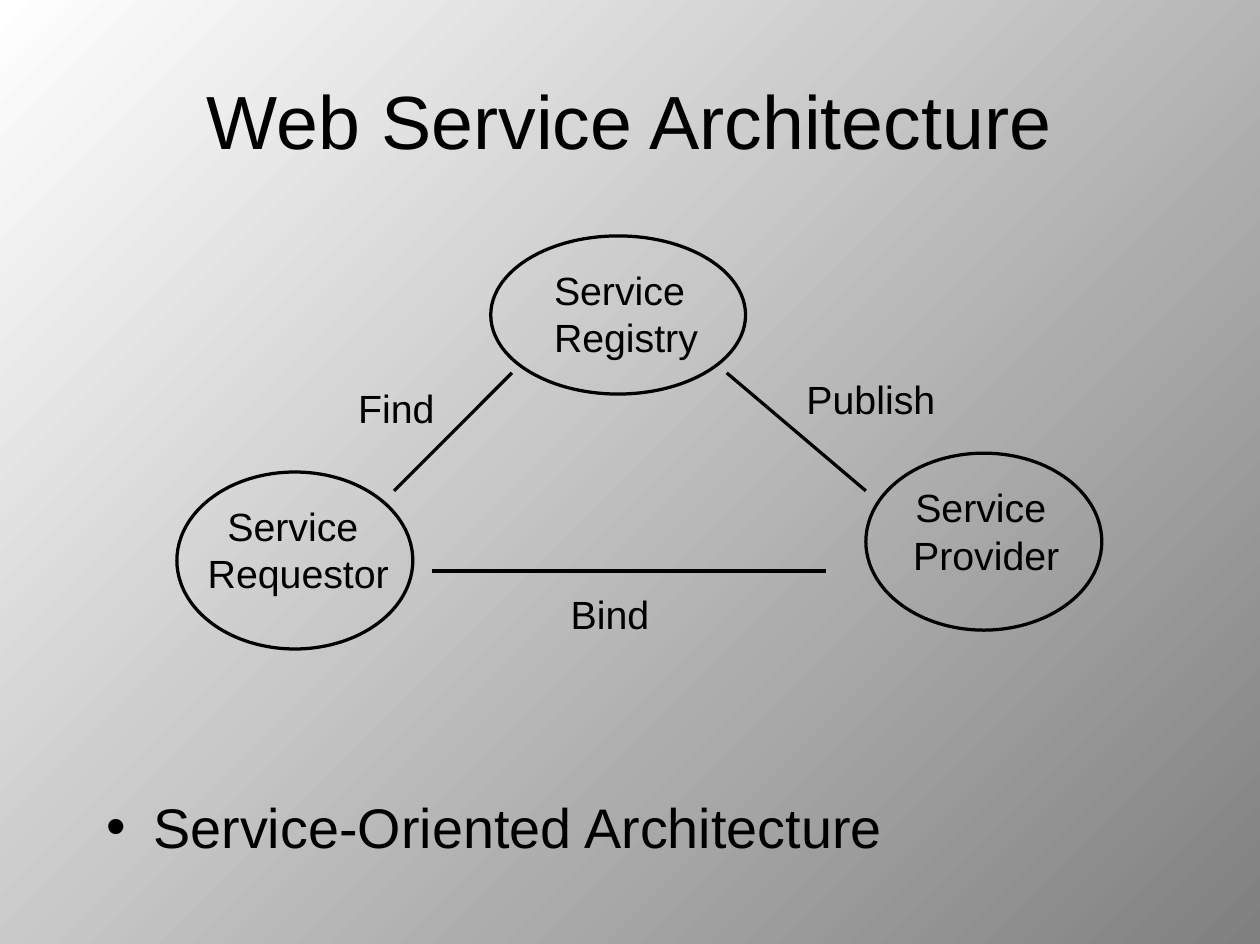
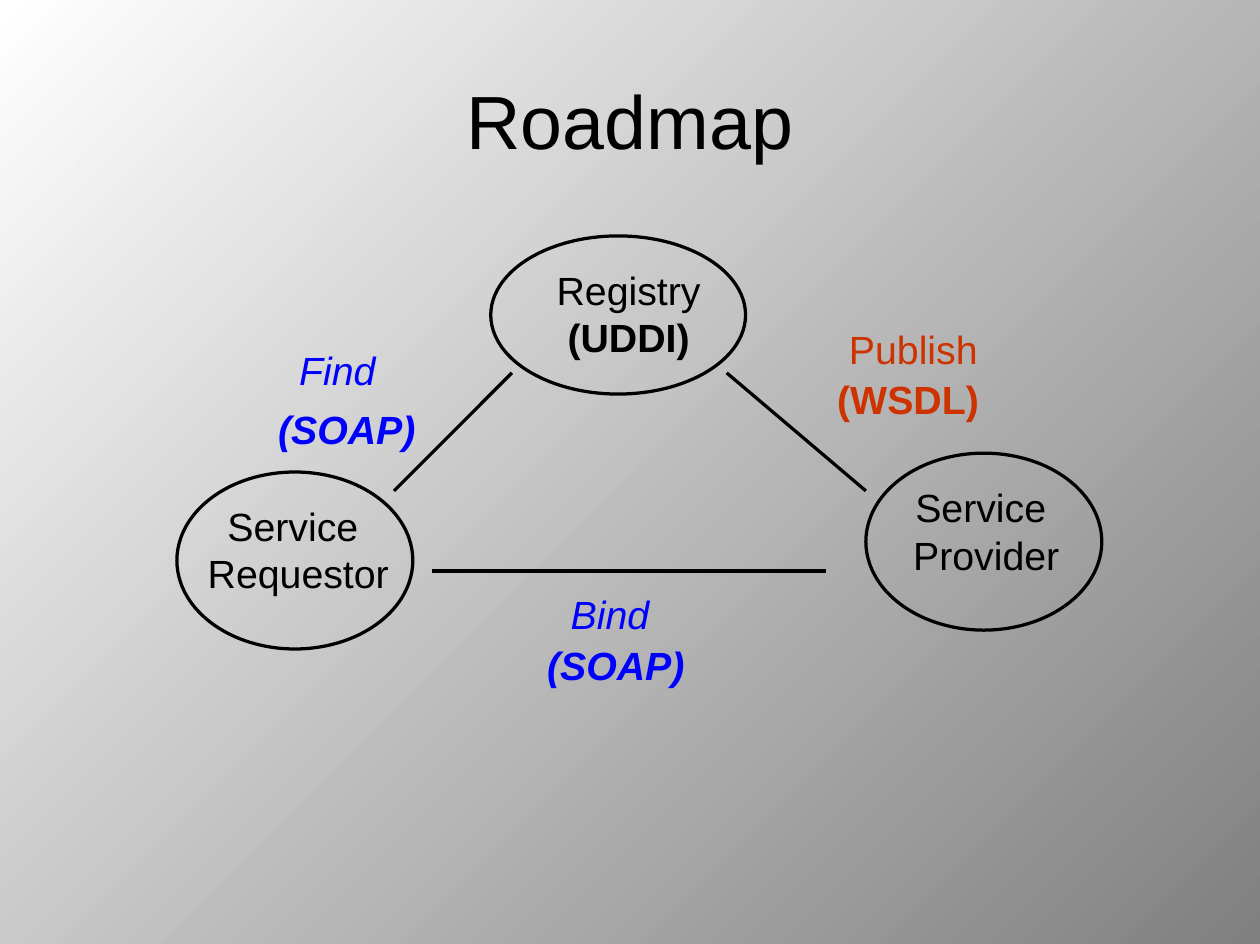
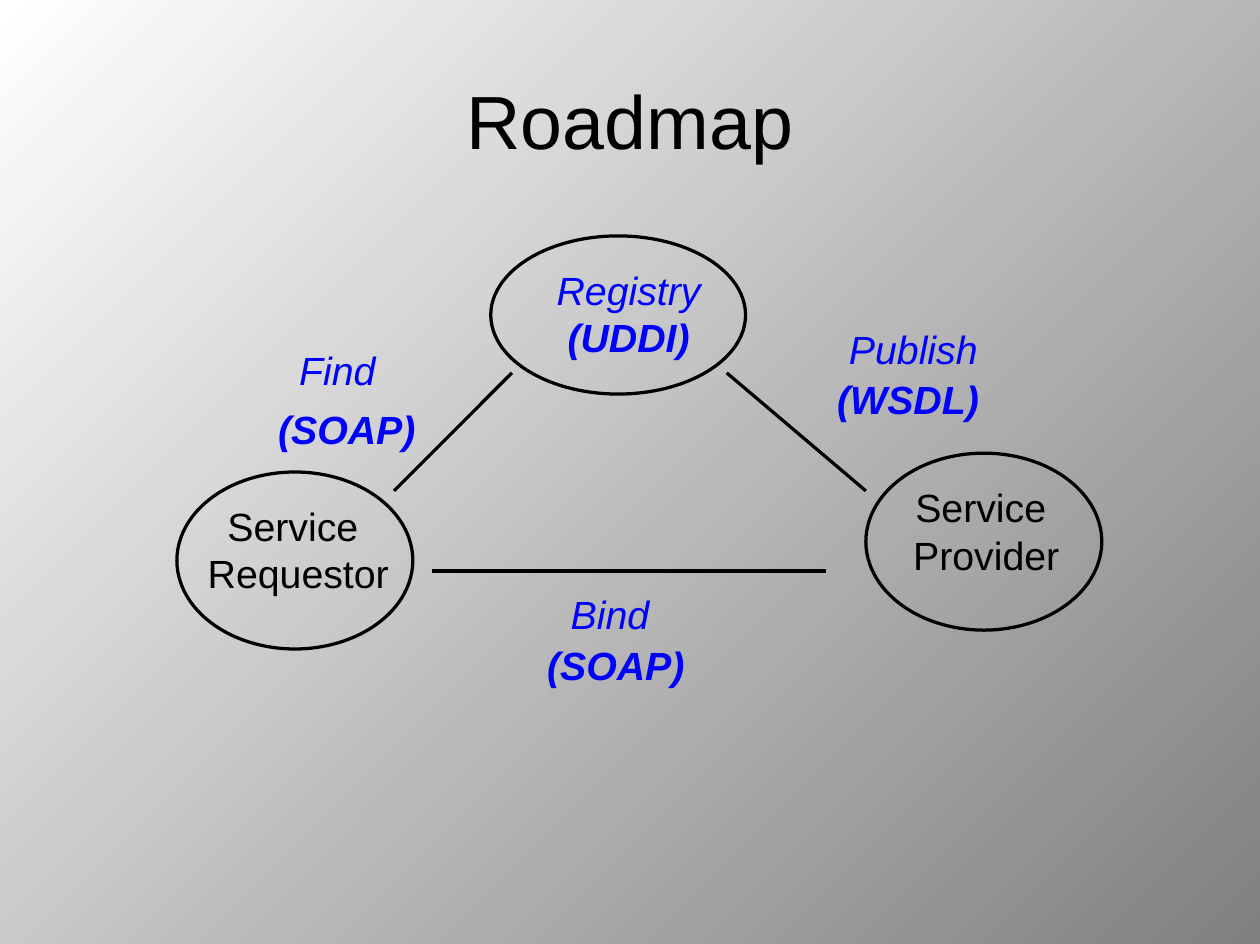
from dataclasses import dataclass

from lxml import etree
from pptx import Presentation
from pptx.dml.color import RGBColor
from pptx.enum.shapes import MSO_CONNECTOR, MSO_SHAPE
from pptx.enum.text import MSO_ANCHOR, MSO_AUTO_SIZE, PP_ALIGN
from pptx.oxml.ns import qn
from pptx.util import Inches, Pt

ELLIPSE = MSO_SHAPE.OVAL
STRAIGHT = MSO_CONNECTOR.STRAIGHT
MIDDLE = MSO_ANCHOR.MIDDLE
GROW = MSO_AUTO_SIZE.SHAPE_TO_FIT_TEXT
LEFT, CENTER = PP_ALIGN.LEFT, PP_ALIGN.CENTER

BLACK = RGBColor(0x00, 0x00, 0x00)
WHITE = RGBColor(0xFF, 0xFF, 0xFF)
GRAY = RGBColor(0x80, 0x80, 0x80)
BLUE = RGBColor(0x00, 0x00, 0xFF)
RED = RGBColor(0xCC, 0x33, 0x00)

FONT = "Arial"
LABEL_HEIGHT, NODE_TEXT_HEIGHT = 0.3, 0.5
TITLE_BOX = (0.4, 0.17, 4.54, 0.67)
BULLET_BOX = (0.4, 3.33, 4.54, 0.45)
DIAGRAM_AT = (0.75, 1)

REGISTRY = ((1.33, 0, 1.08, 0.67), (0.17, 0.83))
REQUESTOR = ((0, 1, 1, 0.75), (0.03, 0.97))
PROVIDER = ((2.92, 0.92, 1, 0.75), (0.1, 0.82))
LINKS = [
    (1.42, 0.58, 0.92, 1.08),
    (2.33, 0.58, 2.92, 1.08),
    (1.08, 1.42, 2.75, 1.42),
]


@dataclass
class Style:
    """Look of a run of text."""
    color: RGBColor = BLACK
    bold: bool = False
    italic: bool = False
    size: float = 12


PLAIN, STRONG = Style(), Style(bold=True)
BLUE_PLAIN, BLUE_STRONG = Style(BLUE, italic=True), Style(BLUE, True, True)
RED_PLAIN, RED_STRONG = Style(RED), Style(RED, True)
TITLE, BULLET = Style(size=23), Style(size=17)


def inches(*values):
    """Convert numbers to lengths."""
    return [Inches(v) for v in values]


def add_text(shapes, box, lines, align=LEFT, wrap=False, margins=(0.1, 0.05)):
    """Add a text box with one paragraph for each (text, style) line."""
    tf = shapes.add_textbox(*inches(*box)).text_frame
    tf.word_wrap = wrap
    tf.margin_left = tf.margin_right = Inches(margins[0])
    tf.margin_top = tf.margin_bottom = Inches(margins[1])
    for i, (text, style) in enumerate(lines):
        p = tf.add_paragraph() if i else tf.paragraphs[0]
        p.alignment = align
        r = p.add_run()
        r.text = text
        r.font.name = FONT
        r.font.size = Pt(style.size)
        r.font.bold = style.bold
        r.font.italic = style.italic
        r.font.color.rgb = style.color
    return tf


def add_slide(prs, title):
    """Add a slide with the gradient background and a title."""
    s = prs.slides.add_slide(prs.slide_layouts[6])
    fill = s.background.fill
    fill.gradient()
    fill.gradient_angle = 315
    for stop, color in zip(fill.gradient_stops, (WHITE, GRAY)):
        stop.color.rgb = color
    tf = add_text(s.shapes, TITLE_BOX, [(title, TITLE)], CENTER, True, (0.05, 0.03))
    tf.vertical_anchor = MIDDLE
    return s


def add_bullet(s, box, text):
    """Add a bulleted line."""
    tf = add_text(s.shapes, box, [(text, BULLET)], LEFT, True, (0.05, 0.03))
    p = tf.paragraphs[0]
    p.space_before = Pt(4.2)
    pPr = p._p.get_or_add_pPr()
    pPr.set("marL", str(Inches(0.2)))
    pPr.set("indent", str(Inches(-0.2)))
    etree.SubElement(pPr, qn("a:buFont")).set("typeface", FONT)
    etree.SubElement(pPr, qn("a:buChar")).set("char", "•")


def add_node(s, origin, node, lines, align=CENTER, wrap=False):
    """Add an ellipse grouped with its text."""
    (x, y, w, h), (text_dx, text_w) = node
    x, y = origin[0] + x, origin[1] + y
    shapes = s.shapes.add_group_shape().shapes
    sp = shapes.add_shape(ELLIPSE, *inches(x, y, w, h))
    sp.shadow.inherit = False
    sp.fill.background()
    sp.line.color.rgb = BLACK
    sp.line.width = Pt(1)
    text_box = (x + text_dx, y + 0.08, text_w, NODE_TEXT_HEIGHT)
    add_text(shapes, text_box, lines, align, wrap).auto_size = GROW


def add_link(s, origin, link):
    """Add a straight line between two nodes."""
    ox, oy = origin
    x1, y1, x2, y2 = link
    line = s.shapes.add_connector(STRAIGHT, *inches(ox + x1, oy + y1, ox + x2, oy + y2))
    line.line.color.rgb = BLACK
    line.line.width = Pt(1)
    etree.SubElement(line._element.spPr, qn("a:effectLst"))


def add_diagram(s, origin, registry, registry_align, labels):
    """Add the triangle of services with its links and labels."""
    add_node(s, origin, REGISTRY, registry, registry_align, True)
    for node, name in ((REQUESTOR, "Requestor"), (PROVIDER, "Provider")):
        add_node(s, origin, node, [("Service ", PLAIN), (name, PLAIN)])
    for link in LINKS:
        add_link(s, origin, link)
    for x, y, w, text, style in labels:
        box = (origin[0] + x, origin[1] + y, w, LABEL_HEIGHT)
        add_text(s.shapes, box, [(text, style)]).auto_size = GROW


def architecture_slide(prs):
    """Build the slide with the plain architecture."""
    s = add_slide(prs, "Web Service Architecture")
    add_bullet(s, BULLET_BOX, "Service-Oriented Architecture")
    labels = [
        (0.67, 0.58, 0.54, "Find", PLAIN),
        (2.57, 0.54, 0.76, "Publish", PLAIN),
        (1.57, 1.45, 0.55, "Bind", PLAIN),
    ]
    add_diagram(s, DIAGRAM_AT, [("Service Registry", PLAIN)], LEFT, labels)


def roadmap_slide(prs, registry_styles, publish_styles):
    """Build a roadmap slide that names the protocol of each step."""
    s = add_slide(prs, "Roadmap")
    registry = list(zip(("Registry", "(UDDI)"), registry_styles))
    labels = [
        (0.42, 0.42, 0.54, "Find", BLUE_PLAIN),
        (2.75, 0.33, 0.76, "Publish", publish_styles[0]),
        (1.57, 1.45, 0.55, "Bind", BLUE_PLAIN),
        (0.33, 0.67, 0.78, "(SOAP)", BLUE_STRONG),
        (1.47, 1.67, 0.78, "(SOAP)", BLUE_STRONG),
        (2.7, 0.54, 0.8, "(WSDL)", publish_styles[1]),
    ]
    add_diagram(s, DIAGRAM_AT, registry, CENTER, labels)


def main():
    """Build and save the presentation."""
    prs = Presentation()
    prs.slide_width, prs.slide_height = inches(5.34, 4)
    architecture_slide(prs)
    roadmap_slide(prs, (PLAIN, STRONG), (RED_PLAIN, RED_STRONG))
    roadmap_slide(prs, (BLUE_PLAIN, BLUE_STRONG), (BLUE_PLAIN, BLUE_STRONG))
    prs.save("out.pptx")


if __name__ == "__main__":
    main()
